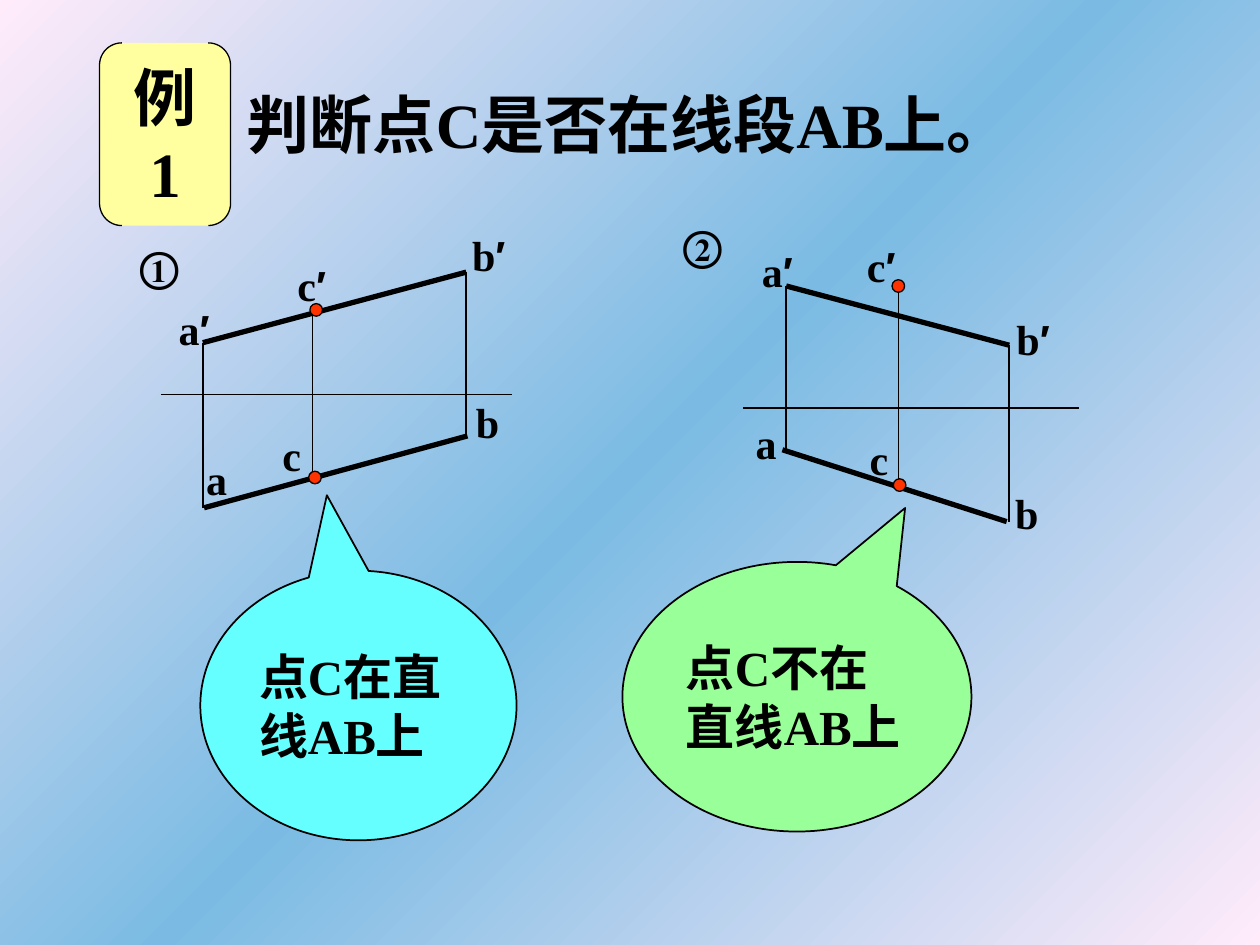
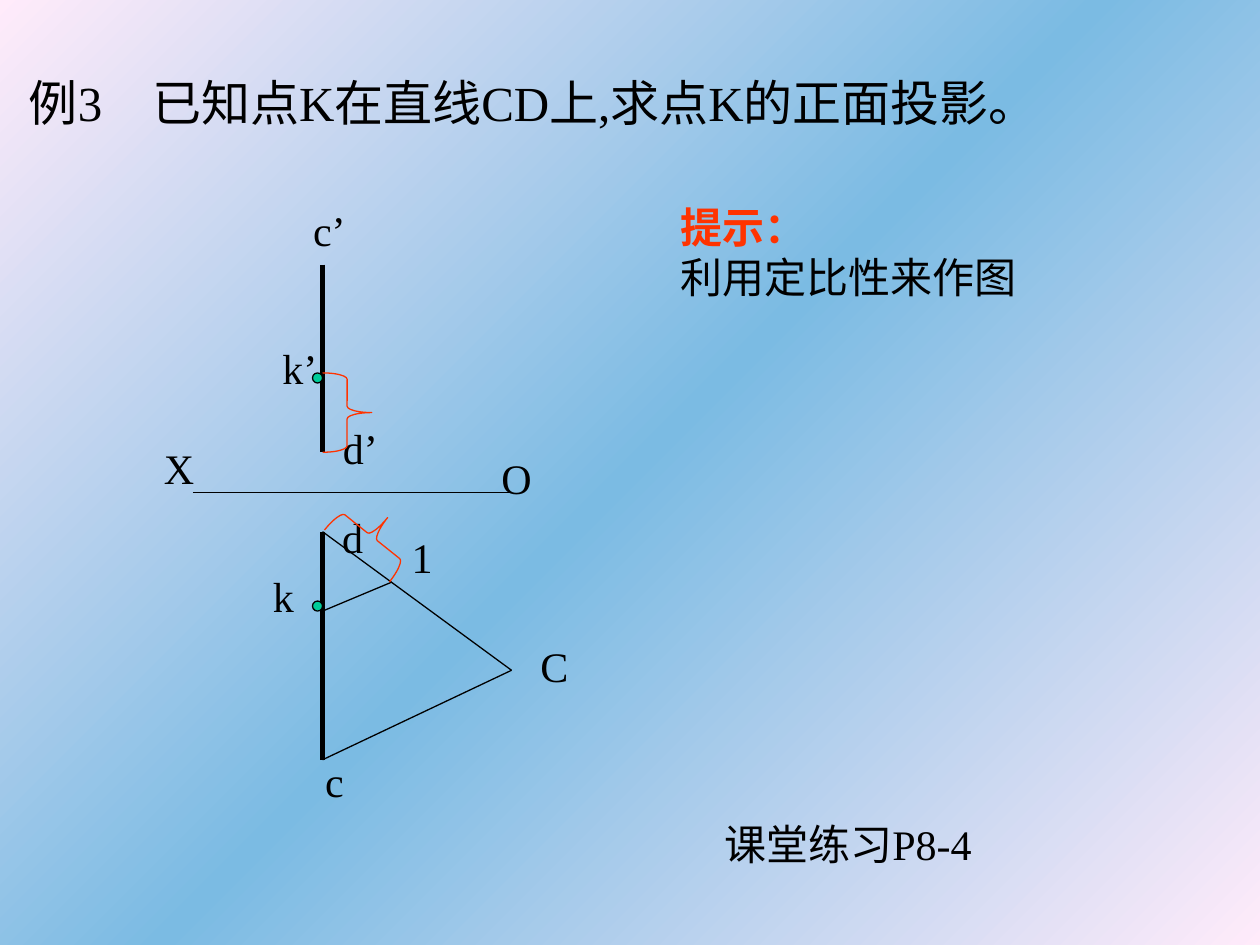
from copy import deepcopy

from lxml.etree import SubElement
from pptx import Presentation
from pptx.dml.color import RGBColor
from pptx.enum.shapes import MSO_CONNECTOR as CONN, MSO_SHAPE as SHAPE
from pptx.enum.text import MSO_ANCHOR as ANCHOR, MSO_AUTO_SIZE as AUTOSIZE, PP_ALIGN as ALIGN
from pptx.oxml.ns import qn
from pptx.util import Inches, Pt

# Shared look
BLACK, RED, GREEN = "000000", "FF3300", "00CC99"
BG_STOPS = [(0, "FFEBFA"), (0.5, "7BBBE3"), (1, "FFEBFA")]
FONT, PRIME_FONT = "Times New Roman", "Arial"
LABEL_W = {"a": 0.36, "b": 0.38, "c": 0.35, "d": 0.36, "k": 0.36, "1": 0.36,
           "C": 0.42, "O": 0.44, "X": 0.44, "①": 0.51, "②": 0.51}
LABEL_H, PRIME_W = 0.5, 0.12


def rgb(hex_color):
    return RGBColor.from_string(hex_color)


def box(x, y, w, h):
    return [Inches(v) for v in (x, y, w, h)]


def set_background(master):
    fill = master.background.fill
    fill.gradient()
    fill.gradient_angle = 135
    first = fill.gradient_stops[0]._gs
    first.addnext(deepcopy(first))
    for stop, (position, color) in zip(fill.gradient_stops, BG_STOPS):
        stop.position = position
        stop.color.rgb = rgb(color)


def write(p, text, size, bold=False, color=BLACK, align=ALIGN.LEFT, font=FONT):
    p.alignment = align
    r = p.add_run()
    r.text = text
    for name, value in dict(name=font, size=Pt(size), bold=bold).items():
        setattr(r.font, name, value)
    r.font.color.rgb = rgb(color)


def frame(sp, wrap=True, anchor=ANCHOR.MIDDLE):
    tf = sp.text_frame
    values = dict(word_wrap=wrap, vertical_anchor=anchor, auto_size=AUTOSIZE.NONE,
                  margin_left=Inches(0.1), margin_right=Inches(0.1),
                  margin_top=Inches(0.05), margin_bottom=Inches(0.05))
    for name, value in values.items():
        setattr(tf, name, value)
    return tf


def add_title(s, text, place, size, bold=False, tab=None):
    sp = s.shapes.title
    sp.left, sp.top, sp.width, sp.height = box(*place)
    p = frame(sp).paragraphs[0]
    if tab:
        tabs = SubElement(p._p.get_or_add_pPr(), qn("a:tabLst"))
        SubElement(tabs, qn("a:tab"), pos=str(Inches(tab)), algn="l")
    write(p, text, size, bold)


def add_text(s, place, *lines):
    """Each line is (text, format)."""
    tf = frame(s.shapes.add_textbox(*box(*place)), wrap=False, anchor=ANCHOR.TOP)
    for i, (text, fmt) in enumerate(lines):
        write(tf.add_paragraph() if i else tf.paragraphs[0], text, 24, **fmt)


def add_shape(shapes, kind, place, fill=None, line=BLACK, width=0.75, adj=()):
    sp = shapes.add_shape(kind, *box(*place))
    sp.shadow.inherit = False
    if fill:
        sp.fill.solid()
        sp.fill.fore_color.rgb = rgb(fill)
    else:
        sp.fill.background()
    sp.line.color.rgb = rgb(line)
    sp.line.width = Pt(width)
    for i, value in enumerate(adj):
        sp.adjustments[i] = value
    return sp


def add_line(shapes, x1, y1, x2, y2, width):
    c = shapes.add_connector(CONN.STRAIGHT, *box(x1, y1, x2, y2))
    c.line.color.rgb = rgb(BLACK)
    c.line.width = Pt(width)
    SubElement(c._element.spPr, qn("a:effectLst"))


def add_label(shapes, text, x, y, bold):
    w = LABEL_W[text[0]] + PRIME_W * (len(text) - 1)
    tf = frame(shapes.add_textbox(*box(x, y, w, LABEL_H)), wrap=False)
    for char in text:
        font = PRIME_FONT if char == "′" else FONT
        write(tf.paragraphs[0], char, 24, bold, align=ALIGN.CENTER, font=font)


def add_callout(s, text, place, fill, tip):
    sp = add_shape(s.shapes, SHAPE.OVAL_CALLOUT, place, fill, width=1, adj=tip)
    write(frame(sp).paragraphs[0], text, 28, True)


def add_figure(s, x, y, heavy, thin, labels, dots, dot_size, dot_fill, thin_width, bold):
    """Projection drawing whose parts are measured from its corner (x, y)."""
    shapes = s.shapes.add_group_shape().shapes
    for lines, width in ((heavy, 3), (thin, thin_width)):
        for x1, y1, x2, y2 in lines:
            add_line(shapes, x + x1, y + y1, x + x2, y + y2, width)
    for text, dx, dy in labels:
        add_label(shapes, text, x + dx, y + dy, bold)
    for dx, dy in dots:
        add_shape(shapes, SHAPE.OVAL, (x + dx, y + dy, dot_size, dot_size), dot_fill)


def add_brace(s, place, rotation=0):
    sp = add_shape(s.shapes, SHAPE.RIGHT_BRACE, place, line=RED, adj=(0.13, 0.5))
    sp.rotation = rotation


def point_on_segment(s):
    add_title(s, "判断点C是否在线段AB上。", (1.86, 0.63, 7.2, 0.7), 36, True)
    badge = add_shape(s.shapes, SHAPE.DOUBLE_BRACKET, (0.79, 0.34, 1.04, 1.45),
                      "FFFF9F", adj=(0.17,))
    write(frame(badge).paragraphs[0], "例1", 36, True, align=ALIGN.CENTER)

    # Answers
    add_callout(s, "点C不在直线AB上", (4.94, 4.46, 2.77, 2.14), "99FF99", (0.31, -0.7))
    add_callout(s, "点C在直线AB上", (1.59, 4.53, 2.51, 2.14), "66FFFF", (-0.1, -0.78))

    # The two cases
    style = dict(dot_size=0.1, dot_fill=RED, thin_width=1, bold=True)
    add_figure(
        s, 1, 1.75,
        heavy=[(0.61, 0.97, 2.7, 0.41), (0.62, 2.28, 2.71, 1.71)],
        thin=[(0.28, 1.38, 3.06, 1.38), (0.61, 0.97, 0.61, 2.28),
              (2.7, 0.41, 2.7, 1.72), (1.48, 0.74, 1.48, 2.07)],
        labels=[("①", 0.01, 0.11), ("a", 0.54, 1.8), ("b", 2.68, 1.35), ("c", 1.14, 1.61),
                ("a′", 0.3, 0.61), ("b′", 2.63, 0.02), ("c′", 1.24, 0.26)],
        dots=[(1.46, 0.66), (1.45, 1.99)], **style)
    add_figure(
        s, 5.3, 1.65,
        heavy=[(0.94, 0.62, 2.71, 1.09), (0.91, 1.92, 2.69, 2.49)],
        thin=[(0.6, 1.59, 3.26, 1.59), (0.94, 0.62, 0.94, 1.92),
              (2.71, 1.09, 2.71, 2.49), (1.83, 0.6, 1.83, 2.19)],
        labels=[("②", 0.02, 0.04), ("a", 0.6, 1.61), ("b", 2.66, 2.17), ("c", 1.5, 1.74),
                ("a′", 0.63, 0.25), ("b′", 2.65, 0.79), ("c′", 1.46, 0.21)],
        dots=[(1.78, 0.57), (1.79, 2.15)], **style)


def ratio_construction(s):
    add_title(s, "例3\t已知点K在直线CD上,求点K的正面投影。", (0.13, 0.52, 9.4, 0.57), 28, tab=0.98)

    # Projections of CD and the auxiliary triangle
    add_figure(
        s, 1.2, 1.55,
        heavy=[(1.36, 0.55, 1.36, 2.04), (1.36, 2.67, 1.36, 4.48)],
        thin=[(0.33, 2.36, 2.86, 2.36), (1.36, 4.48, 2.86, 3.77),
              (1.36, 2.67, 2.86, 3.77), (1.36, 3.3, 1.91, 3.07)],
        labels=[("X", 0, 1.91), ("O", 2.68, 1.99), ("c’", 1.18, 0.02), ("k’", 0.94, 1.12),
                ("d’", 1.42, 1.75), ("d", 1.42, 2.46), ("k", 0.87, 2.93),
                ("c", 1.28, 4.4), ("C", 2.99, 3.48), ("1", 1.97, 2.62)],
        dots=[(1.28, 1.41), (1.28, 3.22)],
        dot_size=0.08, dot_fill=GREEN, thin_width=0.75, bold=False)
    add_brace(s, (2.76, 3.93, 0.39, 0.66), 308.6)
    add_brace(s, (2.56, 2.96, 0.39, 0.63))

    # Hint and exercise
    add_text(s, (5.3, 1.55, 2.86, 0.9),
             ("提示：", dict(bold=True, color=RED)), ("利用定比性来作图", {}))
    add_text(s, (5.65, 6.45, 2.24, 0.5), ("课堂练习P8-4", {}))


def main():
    prs = Presentation()
    prs.slide_width, prs.slide_height = Inches(10), Inches(7.5)
    set_background(prs.slide_master)
    title_only = prs.slide_layouts[5]
    for build in (point_on_segment, ratio_construction):
        build(prs.slides.add_slide(title_only))
    prs.save("out.pptx")


if __name__ == "__main__":
    main()
